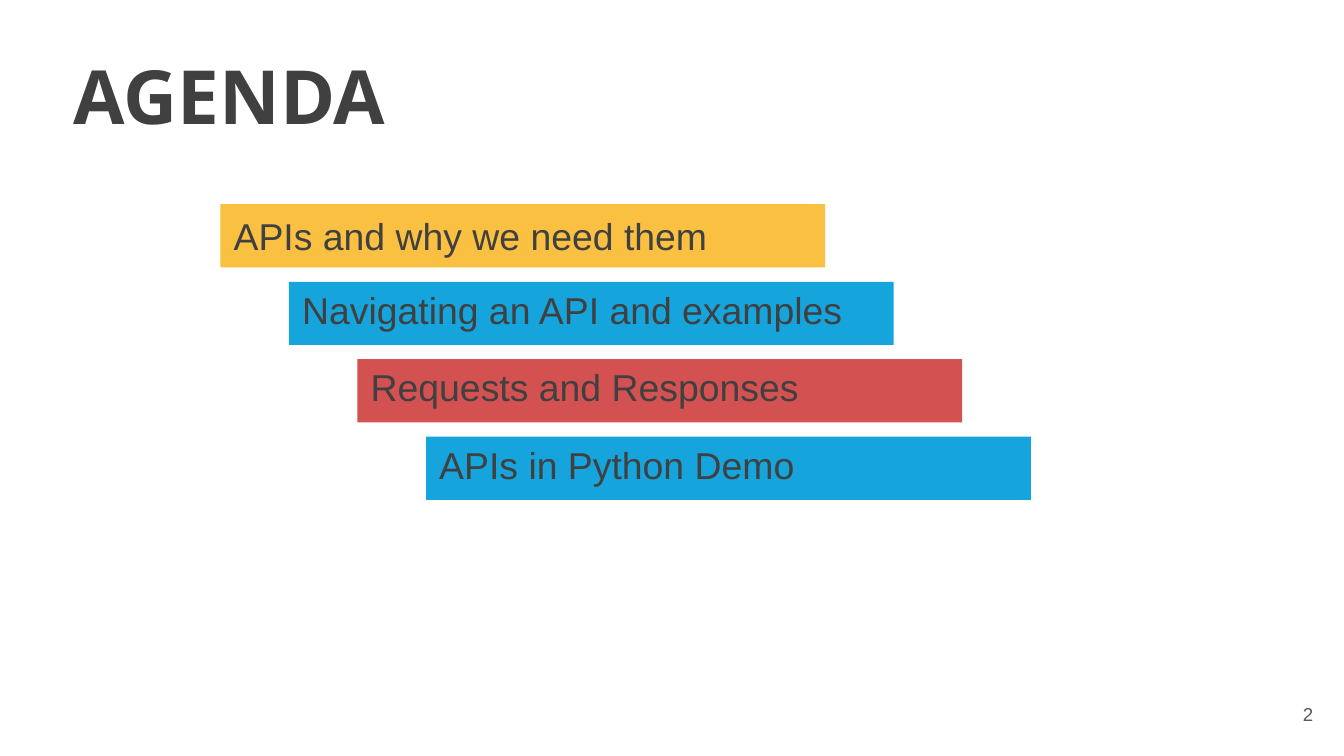
"""Build the agenda slide with four stepped topic bars."""
import pptx
import pptx.dml.color
import pptx.enum.shapes
import pptx.enum.text
import pptx.util

Inches = pptx.util.Inches
RGBColor = pptx.dml.color.RGBColor
Anchor = pptx.enum.text.MSO_ANCHOR
Align = pptx.enum.text.PP_ALIGN

DARK = RGBColor(0x40, 0x40, 0x40)
GRAY = RGBColor(0x59, 0x59, 0x59)
YELLOW = RGBColor(0xF9, 0xC0, 0x42)
BLUE = RGBColor(0x16, 0xA4, 0xDD)
RED = RGBColor(0xD4, 0x51, 0x52)

TITLE = "AGENDA"
PAGE_NUMBER = "2"
TOPICS = [
    ("APIs and why we need them", YELLOW, 1.0),
    ("Navigating an API and examples", BLUE, 0.8),
    ("Requests and Responses", RED, 0.8),
    ("APIs in Python Demo", BLUE, 0.8),
]
SLIDE_WIDTH = 10
SLIDE_HEIGHT = SLIDE_WIDTH * 9 / 16
FIRST_LEFT, FIRST_TOP, LAST_TOP = 1.64, 1.52, 3.25
STEP_RIGHT = 0.51
STEP_DOWN = (LAST_TOP - FIRST_TOP) / (len(TOPICS) - 1)
BAR_WIDTH, BAR_HEIGHT = 4.5, 0.47


def write(box, text, size, color, font="Arial", bold=False,
          align=Align.LEFT, anchor=Anchor.MIDDLE, spacing=1.0):
    frame = box.text_frame
    frame.word_wrap = True
    frame.auto_size = pptx.enum.text.MSO_AUTO_SIZE.NONE
    frame.vertical_anchor = anchor
    frame.margin_left = frame.margin_right = Inches(0.1)
    frame.margin_top = frame.margin_bottom = Inches(0.1)
    para = frame.paragraphs[0]
    para.alignment = align
    para.line_spacing = spacing
    span = para.add_run()
    span.text = text
    span.font.name = font
    span.font.size = pptx.util.Pt(size)
    span.font.bold = bold
    span.font.color.rgb = color


def add_bar(page, index, text, color, spacing):
    bar = page.shapes.add_shape(
        pptx.enum.shapes.MSO_SHAPE.RECTANGLE,
        Inches(FIRST_LEFT + index * STEP_RIGHT),
        Inches(FIRST_TOP + index * STEP_DOWN),
        Inches(BAR_WIDTH), Inches(BAR_HEIGHT))
    bar.shadow.inherit = False
    bar.fill.solid()
    bar.fill.fore_color.rgb = color
    bar.line.fill.background()
    write(bar, text, 20, DARK, spacing=spacing)


def main():
    deck = pptx.Presentation()
    deck.slide_width = Inches(SLIDE_WIDTH)
    deck.slide_height = Inches(SLIDE_HEIGHT)
    page = deck.slides.add_slide(deck.slide_layouts.get_by_name("Title Only"))

    title = page.shapes.title
    title.left, title.top = Inches(0.45), Inches(0.27)
    title.width, title.height = Inches(9.41), Inches(0.97)
    write(title, TITLE, 40, DARK, font="Open Sans", bold=True, anchor=Anchor.TOP)

    for index, (text, color, spacing) in enumerate(TOPICS):
        add_bar(page, index, text, color, spacing)

    number = page.shapes.add_textbox(
        Inches(9.27), Inches(5.1), Inches(0.6), Inches(0.43))
    write(number, PAGE_NUMBER, 10, GRAY, align=Align.RIGHT)
    deck.save("out.pptx")


if __name__ == "__main__":
    main()
